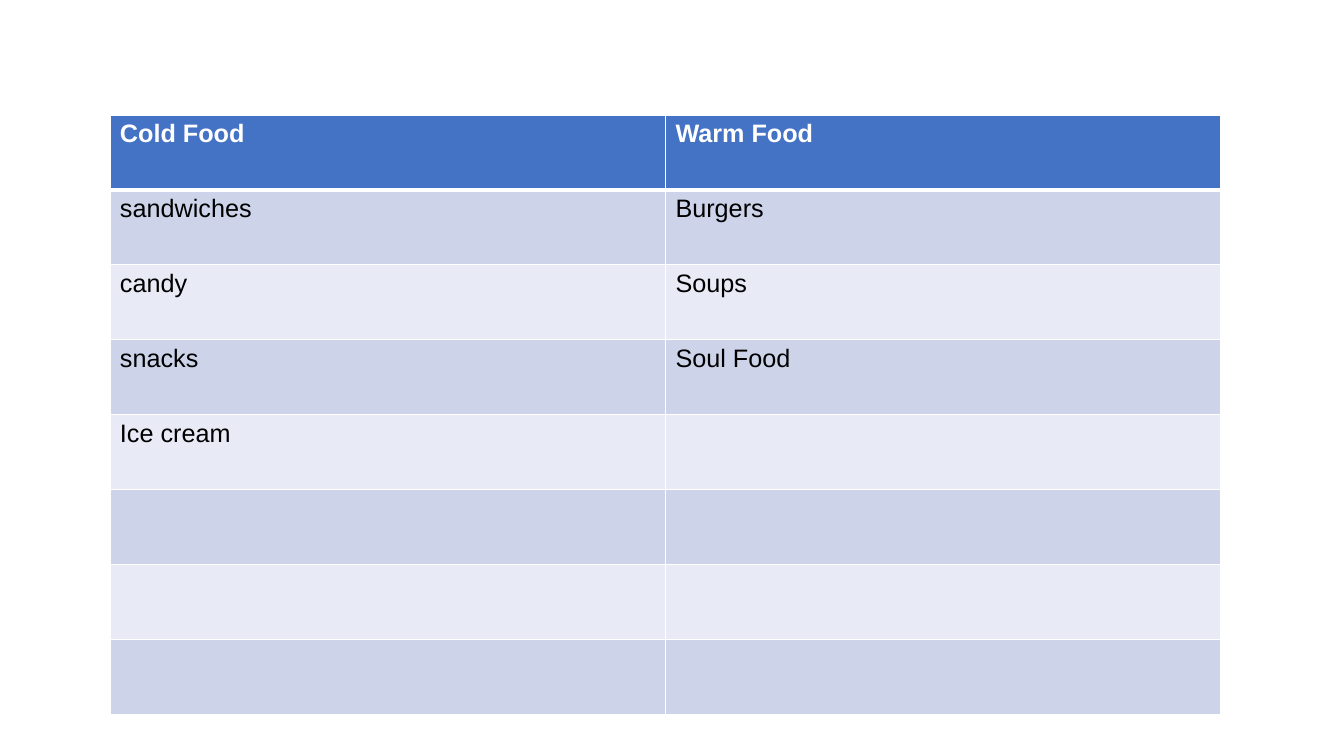
from lxml import etree
from pptx import Presentation
from pptx.dml.color import RGBColor
from pptx.oxml.ns import qn
from pptx.util import Inches, Pt

WHITE = RGBColor(0xFF, 0xFF, 0xFF)
BLACK = RGBColor(0x00, 0x00, 0x00)
BLUE = RGBColor(0x44, 0x72, 0xC4)
BANDS = [RGBColor(0xE8, 0xEB, 0xF5), RGBColor(0xCD, 0xD4, 0xEA)]

FOODS = [
    ("Cold Food", "Warm Food"),
    ("sandwiches", "Burgers"),
    ("candy", "Soups"),
    ("snacks", "Soul Food"),
    ("Ice cream", ""),
    ("", ""),
    ("", ""),
    ("", ""),
]


def write(frame, text, size=18, color=BLACK, bold=False, font="Arial"):
    run = frame.paragraphs[0].add_run()
    run.text = text
    run.font.size = Pt(size)
    run.font.name = font
    run.font.bold = bold
    run.font.color.rgb = color


def edge(cell, widths, color=WHITE):
    props = cell._tc.get_or_add_tcPr()
    for place, (side, width) in enumerate(widths.items()):
        line = etree.Element(qn(f"a:{side}"), w=str(Pt(width)))
        fill = etree.SubElement(line, qn("a:solidFill"))
        etree.SubElement(fill, qn("a:srgbClr"), val=str(color))
        props.insert(place, line)


def food_table(slide, left, top, width, height):
    rows, cols = len(FOODS), len(FOODS[0])
    table = slide.shapes.add_table(rows, cols, left, top, width, height).table
    for r, foods in enumerate(FOODS):
        head = r == 0
        for c, food in enumerate(foods):
            cell = table.cell(r, c)
            cell.fill.solid()
            cell.fill.fore_color.rgb = BLUE if head else BANDS[r % 2]
            edge(cell, {"lnL": 1, "lnR": 1,
                        "lnT": 3 if r == 1 else 1,
                        "lnB": 3 if head else 1})
            if food:
                write(cell.text_frame, food, bold=head,
                      color=WHITE if head else BLACK)


def main():
    deck = Presentation()
    deck.slide_width = Inches(13.33)
    deck.slide_height = Inches(7.5)
    slide = deck.slides.add_slide(deck.slide_layouts[6])
    food_table(slide, Inches(1.09), Inches(1.14), Inches(11.02), Inches(5.95))
    deck.save("out.pptx")


if __name__ == "__main__":
    main()
